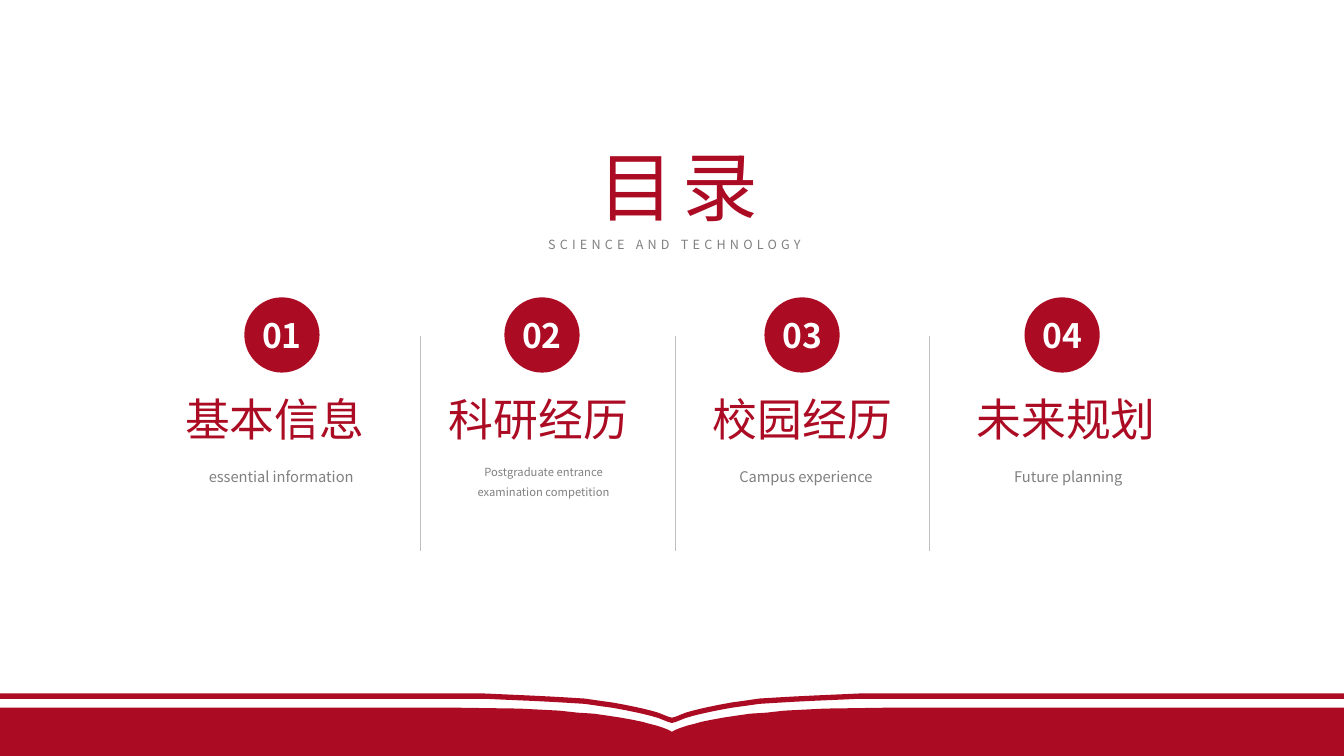
from dataclasses import dataclass

from lxml import etree
from pptx import Presentation
from pptx.dml.color import RGBColor
from pptx.enum.shapes import MSO_CONNECTOR, MSO_SHAPE
from pptx.enum.text import MSO_ANCHOR, MSO_AUTO_SIZE, PP_ALIGN
from pptx.oxml.ns import qn
from pptx.util import Inches, Pt

OVAL = MSO_SHAPE.OVAL
STRAIGHT = MSO_CONNECTOR.STRAIGHT
TOP, MIDDLE = MSO_ANCHOR.TOP, MSO_ANCHOR.MIDDLE
GROW = MSO_AUTO_SIZE.SHAPE_TO_FIT_TEXT
CENTER = PP_ALIGN.CENTER

SLIDE_WIDTH, SLIDE_HEIGHT = Inches(13.333), Inches(7.5)
FONT = "Noto Sans CJK SC"
CRIMSON, GREY, SILVER, WHITE = "AC0C23", "808080", "BFBFBF", "FFFFFF"
RIBBON_THICKNESS = 0.7


@dataclass(frozen=True)
class Area:
    left: float
    top: float
    width: float
    height: float


@dataclass(frozen=True)
class Style:
    size: float
    color: str
    bold: bool = False
    tracking: int = 0
    spacing: float = 1.0


@dataclass(frozen=True)
class Chapter:
    title: str
    caption: str
    caption_size: float = 10.5
    caption_height: float = 3.6


CHAPTERS = [
    Chapter("基本信息", "essential information"),
    Chapter("科研经历", "Postgraduate entrance examination competition", 8, 5.33),
    Chapter("校园经历", "Campus experience"),
    Chapter("未来规划", "Future planning"),
]

RIBBON_EDGE = [
    (0, 91.73), (36.08, 91.73), (37.8, 91.87), (39.45, 92), (40.95, 92.13),
    (42.3, 92.27), (43.5, 92.4), (44.55, 92.67), (45.6, 92.93), (46.43, 93.2),
    (47.18, 93.47), (47.85, 93.73), (48.45, 94), (48.98, 94.27),
    (49.35, 94.53), (49.73, 94.8), (50, 94.93),
]
PAGE_EDGE = [
    (0, 93.6), (33.68, 93.6), (38.63, 93.73), (40.2, 93.87), (41.63, 94),
    (42.98, 94.27), (44.18, 94.4), (45.23, 94.67), (46.2, 94.93),
    (47.03, 95.2), (47.78, 95.47), (48.3, 95.73), (48.9, 96),
    (49.35, 96.27), (49.73, 96.53), (50, 96.8),
]


def across(share: float) -> int:
    return round(SLIDE_WIDTH * share / 100)


def down(share: float) -> int:
    return round(SLIDE_HEIGHT * share / 100)


def place(area: Area) -> tuple:
    return across(area.left), down(area.top), across(area.width), down(area.height)


def paint(target, color: str) -> None:
    target.solid()
    target.fore_color.rgb = RGBColor.from_string(color)


def mirrored(edge: list) -> list:
    return edge + [(100 - x, y) for x, y in reversed(edge[:-1])]


def draw_outline(slide, outline: list) -> None:
    points = [(across(x), down(y)) for x, y in outline]
    builder = slide.shapes.build_freeform(*points[0])
    builder.add_line_segments(points[1:], close=True)
    color_shape(builder.convert_to_shape())


def color_shape(shape) -> None:
    shape.shadow.inherit = False
    paint(shape.fill, CRIMSON)
    shape.line.fill.background()


def write(frame, text: str, style: Style, frame_format: dict) -> None:
    for attribute, value in frame_format.items():
        setattr(frame, attribute, value)
    paragraph = frame.paragraphs[0]
    paragraph.alignment = CENTER
    paragraph.line_spacing = style.spacing
    run = paragraph.add_run()
    run.text = text
    font_format = {"name": FONT, "size": Pt(style.size), "bold": style.bold}
    for attribute, value in font_format.items():
        setattr(run.font, attribute, value)
    paint(run.font.fill, style.color)
    properties = run.font._element
    etree.SubElement(properties, qn("a:ea"), typeface=FONT)
    if style.tracking:
        properties.set("spc", str(style.tracking * 100))


def frame_format(anchor=TOP, inset: bool = True) -> dict:
    side, edge = (Inches(0.1), Inches(0.05)) if inset else (0, 0)
    return {
        "word_wrap": True, "vertical_anchor": anchor,
        "margin_left": side, "margin_right": side,
        "margin_top": edge, "margin_bottom": edge,
    }


def draw_text(slide, area: Area, text: str, style: Style, inset: bool = True) -> None:
    frame = slide.shapes.add_textbox(*place(area)).text_frame
    write(frame, text, style, {**frame_format(inset=inset), "auto_size": GROW})


def draw_number(slide, area: Area, number: int) -> None:
    badge = slide.shapes.add_shape(OVAL, *place(area))
    color_shape(badge)
    write(badge.text_frame, f"{number:02d}", Style(24, WHITE, bold=True),
          frame_format(MIDDLE, inset=False))


def draw_divider(slide, x: float) -> None:
    divider = slide.shapes.add_connector(
        STRAIGHT, across(x), down(44.4), across(x), down(72.93))
    paint(divider.line.fill, SILVER)
    divider.line.width = Pt(0.5)
    etree.SubElement(divider._element.spPr, qn("a:effectLst"))


def draw_book(slide) -> None:
    ribbon_top = mirrored(RIBBON_EDGE)
    ribbon_bottom = [(x, y + RIBBON_THICKNESS) for x, y in reversed(ribbon_top)]
    draw_outline(slide, ribbon_top + ribbon_bottom)
    draw_outline(slide, mirrored(PAGE_EDGE) + [(100, 100), (0, 100)])


def draw_chapter(slide, index: int, chapter: Chapter) -> None:
    draw_number(slide, Area(18.18 + 19.35 * index, 39.33, 5.6, 9.96), index + 1)
    draw_text(slide, Area(11.78 + 19.63 * index, 51.2, 17.33, 8.53),
              chapter.title, Style(32, CRIMSON))
    draw_text(slide, Area(14.78 + 19.52 * index, 60.67, 12.3, chapter.caption_height),
              chapter.caption, Style(chapter.caption_size, GREY, spacing=1.5),
              inset=False)


def main() -> None:
    deck = Presentation()
    deck.slide_width, deck.slide_height = SLIDE_WIDTH, SLIDE_HEIGHT
    slide = deck.slides.add_slide(deck.slide_layouts[6])
    paint(slide.background.fill, WHITE)
    draw_book(slide)
    draw_text(slide, Area(39.3, 30.67, 21.75, 3.33), "SCIENCE AND TECHNOLOGY",
              Style(9, GREY, tracking=3))
    draw_text(slide, Area(43.28, 17.87, 14.4, 13.47), "目录",
              Style(54, CRIMSON, tracking=6))
    for gap in range(len(CHAPTERS) - 1):
        draw_divider(slide, 31.28 + 18.94 * gap)
    for index, chapter in enumerate(CHAPTERS):
        draw_chapter(slide, index, chapter)
    deck.save("out.pptx")


if __name__ == "__main__":
    main()
